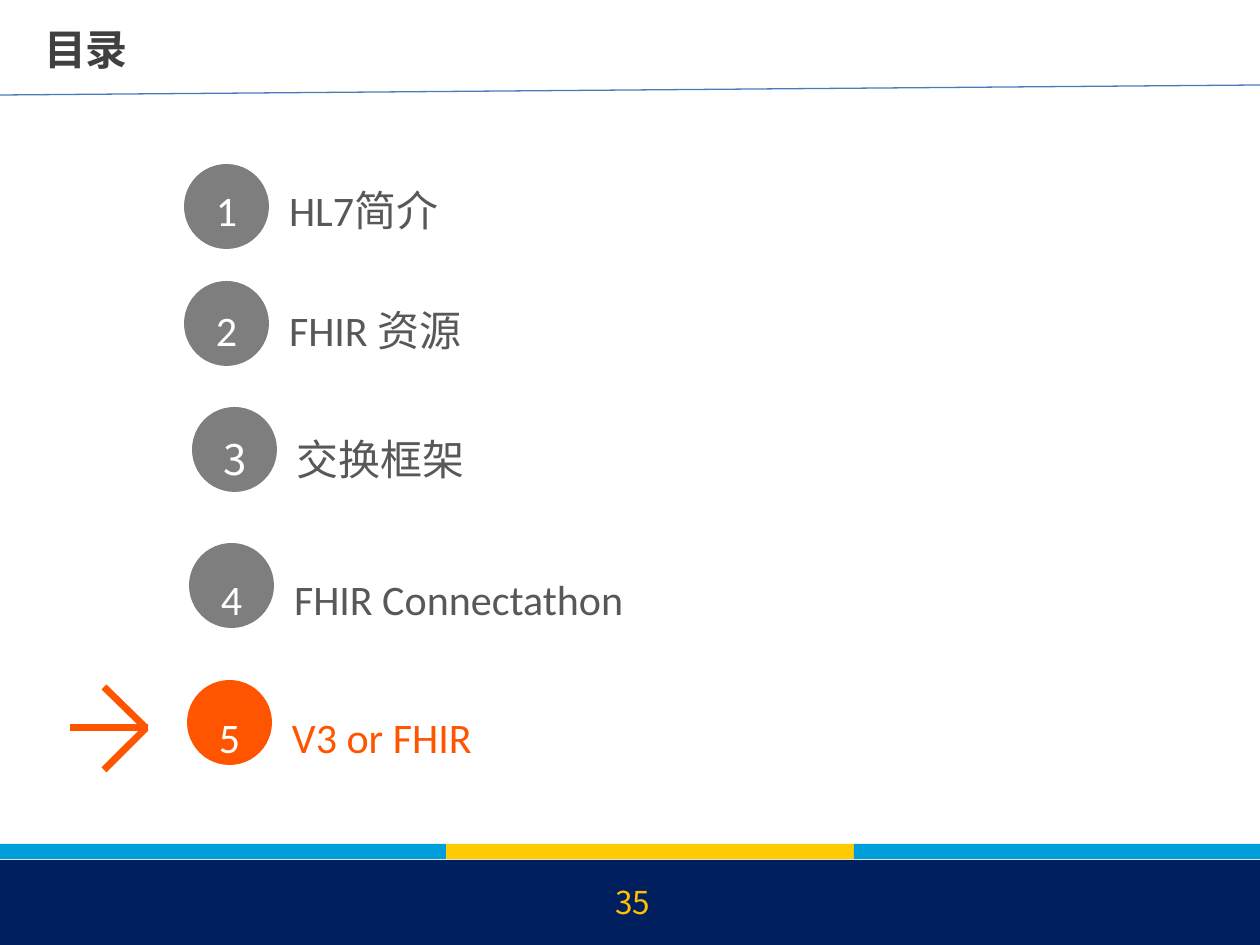
"""Build the agenda slide with its numbered topics and footer bands."""
from lxml import etree
from pptx import Presentation
from pptx.dml.color import RGBColor
from pptx.enum.shapes import MSO_CONNECTOR, MSO_SHAPE
from pptx.enum.text import MSO_ANCHOR, MSO_AUTO_SIZE, PP_ALIGN
from pptx.oxml.ns import qn
from pptx.util import Emu, Pt

STRAIGHT = MSO_CONNECTOR.STRAIGHT
OVAL, RECTANGLE = MSO_SHAPE.OVAL, MSO_SHAPE.RECTANGLE
MIDDLE, TOP = MSO_ANCHOR.MIDDLE, MSO_ANCHOR.TOP
LEFT, CENTER = PP_ALIGN.LEFT, PP_ALIGN.CENTER

PIXEL = 914400 // 126
WIDTH, HEIGHT = 1260, 945
LATIN, CHINESE = "Calibri", "Noto Sans CJK SC"

SKY = RGBColor(0x00, 0x9E, 0xDB)
NAVY = RGBColor(0x00, 0x1F, 0x5F)
YELLOW = RGBColor(0xFF, 0xCC, 0x03)
GOLD = RGBColor(0xFF, 0xC0, 0x00)
RULE_BLUE = RGBColor(0x49, 0x7D, 0xBA)
DISC_GRAY = RGBColor(0x7E, 0x7E, 0x7E)
TEXT_GRAY = RGBColor(0x58, 0x58, 0x58)
TITLE_GRAY = RGBColor(0x40, 0x40, 0x40)
ORANGE = RGBColor(0xFF, 0x54, 0x00)
WHITE = RGBColor(0xFF, 0xFF, 0xFF)

TITLE = "目录"
PAGE_NUMBER = "35"
TOPICS = [
    {"disc": (184, 164), "baseline": 223, "runs": [("HL7", LATIN), ("简介", CHINESE)]},
    {"disc": (184, 281), "baseline": 343, "runs": [("FHIR ", LATIN), ("资源", CHINESE)]},
    {"disc": (192, 407), "baseline": 472, "runs": [("交换框架", CHINESE)]},
    {"disc": (189, 543), "baseline": 612, "runs": [("FHIR Connectathon", LATIN)]},
    {"disc": (187, 680), "baseline": 750, "runs": [("V3 or FHIR", LATIN)]},
]
CURRENT = len(TOPICS) - 1
DISC_SIZE, LABEL_OFFSET, HANGING = 85, 105, 73
LINE_HEIGHT, DESCENT = 53, 12

BANDS = [
    (0, 844, 446, 15, SKY),
    (446, 844, 408, 15, YELLOW),
    (854, 844, 406, 15, SKY),
    (0, 860, WIDTH, 85, NAVY),
]
LINES = [
    (0, 95, WIDTH, 85, RULE_BLUE, 0.75),
    (104, 687, 146, 728, ORANGE, 4),
    (104, 770, 146, 728, ORANGE, 4),
    (70, 728, 148, 728, ORANGE, 4),
]


def px(*values):
    return [Emu(value * PIXEL) for value in values]


def add_filled(slide, kind, box, color):
    shape = slide.shapes.add_shape(kind, *px(*box))
    shape.shadow.inherit = False
    shape.fill.solid()
    shape.fill.fore_color.rgb = color
    shape.line.fill.background()


def add_line(slide, ends, color, weight):
    line = slide.shapes.add_connector(STRAIGHT, *px(*ends))
    line.line.color.rgb = color
    line.line.width = Pt(weight)
    etree.SubElement(line.element.spPr, qn("a:effectLst"))


def prepare(shape, box, anchor):
    shape.left, shape.top, shape.width, shape.height = px(*box)
    frame = shape.text_frame
    frame.margin_left = frame.margin_right = frame.margin_top = frame.margin_bottom = 0
    frame.word_wrap = True
    frame.auto_size = MSO_AUTO_SIZE.NONE
    frame.vertical_anchor = anchor
    return frame


def add_span(para, text, font):
    span = para.add_run()
    span.text = text
    span.font.name = font
    etree.SubElement(span.font._element, qn("a:ea"), typeface=CHINESE)


def style(para, size, color, align, bold=False):
    para.alignment = align
    para.font.size = Pt(size)
    para.font.color.rgb = color
    para.font.bold = bold


def number(para, label_left):
    properties = para._p.get_or_add_pPr()
    properties.set("marL", str(label_left * PIXEL))
    properties.set("indent", str(-HANGING * PIXEL))
    color = etree.SubElement(properties, qn("a:buClr"))
    etree.SubElement(color, qn("a:srgbClr"), val=str(WHITE))
    etree.SubElement(properties, qn("a:buAutoNum"), type="arabicPlain")


deck = Presentation()
deck.slide_width, deck.slide_height = px(WIDTH, HEIGHT)
page = deck.slides.add_slide(deck.slide_layouts[1])

for *box, color in BANDS:
    add_filled(page, RECTANGLE, box, color)
for *ends, color, weight in LINES:
    add_line(page, ends, color, weight)

heading = prepare(page.shapes.title, (44, 18, 583, 62), MIDDLE).paragraphs[0]
add_span(heading, TITLE, CHINESE)
style(heading, 24, TITLE_GRAY, LEFT, bold=True)

body = page.placeholders[1]
list_top = TOPICS[0]["baseline"] + DESCENT - LINE_HEIGHT
agenda = prepare(body, (0, list_top, 1100, 600), TOP)
previous = TOPICS[0]["baseline"] - LINE_HEIGHT
for index, topic in enumerate(TOPICS):
    left, top = topic["disc"]
    active = index == CURRENT
    add_filled(page, OVAL, (left, top, DISC_SIZE, DISC_SIZE), ORANGE if active else DISC_GRAY)
    para = agenda.add_paragraph() if index else agenda.paragraphs[0]
    number(para, left + LABEL_OFFSET)
    for text, font in topic["runs"]:
        add_span(para, text, font)
    style(para, 24, ORANGE if active else TEXT_GRAY, LEFT)
    para.line_spacing = Emu(LINE_HEIGHT * PIXEL)
    para.space_before = Emu((topic["baseline"] - previous - LINE_HEIGHT) * PIXEL)
    previous = topic["baseline"]
body.element.getparent().append(body.element)

page_box = page.shapes.add_textbox(*px(611, 879, 44, 46))
folio = prepare(page_box, (611, 879, 44, 46), MIDDLE).paragraphs[0]
add_span(folio, PAGE_NUMBER, CHINESE)
style(folio, 18, GOLD, CENTER)

deck.save("out.pptx")
